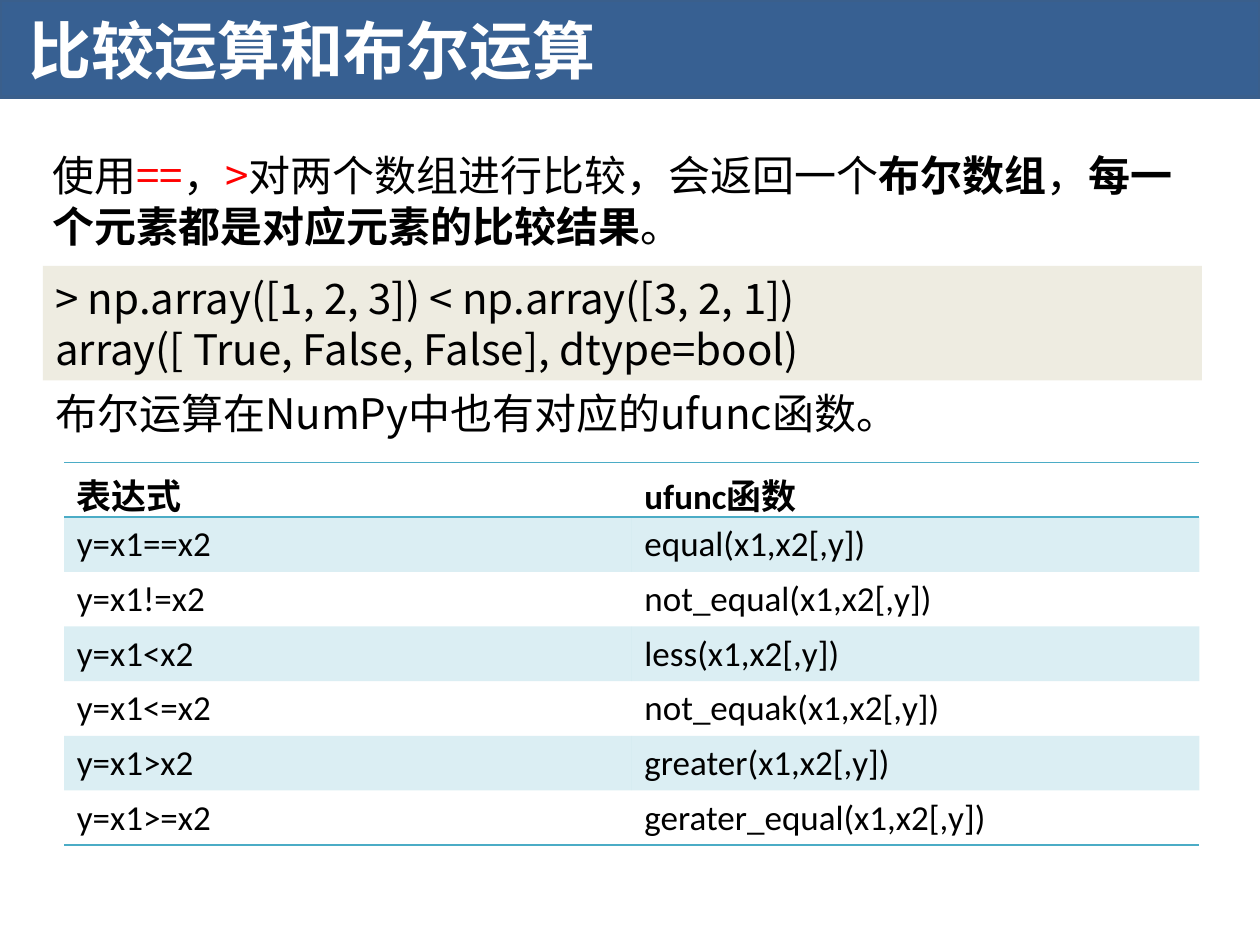
from lxml import etree
from pptx import Presentation
from pptx.dml.color import RGBColor
from pptx.enum.shapes import MSO_SHAPE
from pptx.enum.text import MSO_ANCHOR, PP_ALIGN
from pptx.oxml.ns import qn
from pptx.util import Inches, Pt

RECT = MSO_SHAPE.RECTANGLE
LEFT = PP_ALIGN.LEFT
TOP, MIDDLE = MSO_ANCHOR.TOP, MSO_ANCHOR.MIDDLE
SANS, LATIN = "Noto Sans CJK SC", "Calibri"
BLACK, WHITE, RED = "000000", "FFFFFF", "FF0000"
BLUE, EDGE, SAND, TEAL = "376092", "3A5F8C", "EEECE1", "4BACC6"
PLAIN_STYLE = "{2D5ABB26-0587-4C30-8999-92F81FD0307C}"

# Content: a paragraph is a list of (text, format) runs
TITLE = [[("比较运算和布尔运算", {"bold": True, "color": WHITE})]]
INTRO = [[
    ("使用", {}), ("==", {"color": RED}), ("，", {}), (">", {"color": RED}),
    ("对两个数组进行比较，会返回一个", {}), ("布尔数组", {"bold": True}),
    ("，", {}), ("每一个元素都是对应元素的比较结果", {"bold": True}), ("。", {}),
]]
CODE = [
    [("> np.array([1, 2, 3]) < np.array([3, 2, 1])", {})],
    [("array([ True, False, False], dtype=bool)", {})],
]
NOTE = [[("布尔运算在NumPy中也有对应的ufunc函数。", {})]]
ROWS = [
    ("表达式", "ufunc函数"),
    ("y=x1==x2", "equal(x1,x2[,y])"),
    ("y=x1!=x2", "not_equal(x1,x2[,y])"),
    ("y=x1<x2", "less(x1,x2[,y])"),
    ("y=x1<=x2", "not_equak(x1,x2[,y])"),
    ("y=x1>x2", "greater(x1,x2[,y])"),
    ("y=x1>=x2", "gerater_equal(x1,x2[,y])"),
]


def rgb(code):
    return RGBColor.from_string(code)


def add_run(para, text, size=24, font=SANS, color=BLACK, bold=False):
    run = para.add_run()
    run.text = text
    run.font.size, run.font.name, run.font.bold = Pt(size), font, bold
    run.font.color.rgb = rgb(color)
    etree.SubElement(run.font._element, qn("a:ea"), typeface=SANS)


def write(frame, paras, anchor=TOP, **style):
    frame.word_wrap = True
    frame.vertical_anchor = anchor
    for i, runs in enumerate(paras):
        para = frame.add_paragraph() if i else frame.paragraphs[0]
        para.alignment = LEFT
        for text, own in runs:
            add_run(para, text, **{**style, **own})


def add_text(box, paras, **style):
    write(slide.shapes.add_textbox(*map(Inches, box)).text_frame, paras, **style)


def add_rect(box, fill, line=None):
    rect = slide.shapes.add_shape(RECT, *map(Inches, box))
    rect.shadow.inherit = False
    rect.fill.solid()
    rect.fill.fore_color.rgb = rgb(fill)
    if line:
        rect.line.color.rgb = rgb(line)
        rect.line.width = Pt(2)
    else:
        rect.line.fill.background()
    return rect


def add_edge(cell, side):
    line = etree.SubElement(cell._tc.get_or_add_tcPr(), qn("a:ln" + side), w=str(Pt(1)))
    fill = etree.SubElement(line, qn("a:solidFill"))
    etree.SubElement(fill, qn("a:srgbClr"), val=TEAL)


def tint(cell, alpha):
    cell.fill.solid()
    cell.fill.fore_color.rgb = rgb(TEAL)
    color = cell._tc.tcPr.find(".//" + qn("a:solidFill") + "/" + qn("a:srgbClr"))
    etree.SubElement(color, qn("a:alpha"), val=str(alpha * 1000))


prs = Presentation()
prs.slide_width, prs.slide_height = Inches(10), Inches(7.5)
slide = prs.slides.add_slide(prs.slide_layouts[6])

# Title bar
add_rect((0, 0, 10, 0.77), BLUE, EDGE)
add_text((0.13, 0.04, 6.76, 0.71), TITLE, size=36)

# Explanation and code
add_text((0.32, 1.14, 9.2, 0.91), INTRO)
write(add_rect((0.34, 2.11, 9.2, 0.91), SAND).text_frame, CODE, anchor=MIDDLE)
add_text((0.34, 3.03, 9.2, 0.5), NOTE)

# Table of functions
high = 3.03 / len(ROWS)
frame = slide.shapes.add_table(
    len(ROWS), 2, Inches(0.51), Inches(3.67), Inches(9.01), Inches(3.03))
table = frame.table
table._tbl.tblPr.find(qn("a:tableStyleId")).text = PLAIN_STYLE
table.first_row = table.horz_banding = False
for r, words in enumerate(ROWS):
    table.rows[r].height = Inches(high)
    for c, word in enumerate(words):
        cell = table.cell(r, c)
        write(cell.text_frame, [[(word, {})]], size=20, font=LATIN, bold=r == 0)
        if r == 0:
            add_edge(cell, "T")
        if r in (0, len(ROWS) - 1):
            add_edge(cell, "B")
        if r % 2:
            tint(cell, 20)
        else:
            cell.fill.background()

prs.save("out.pptx")
